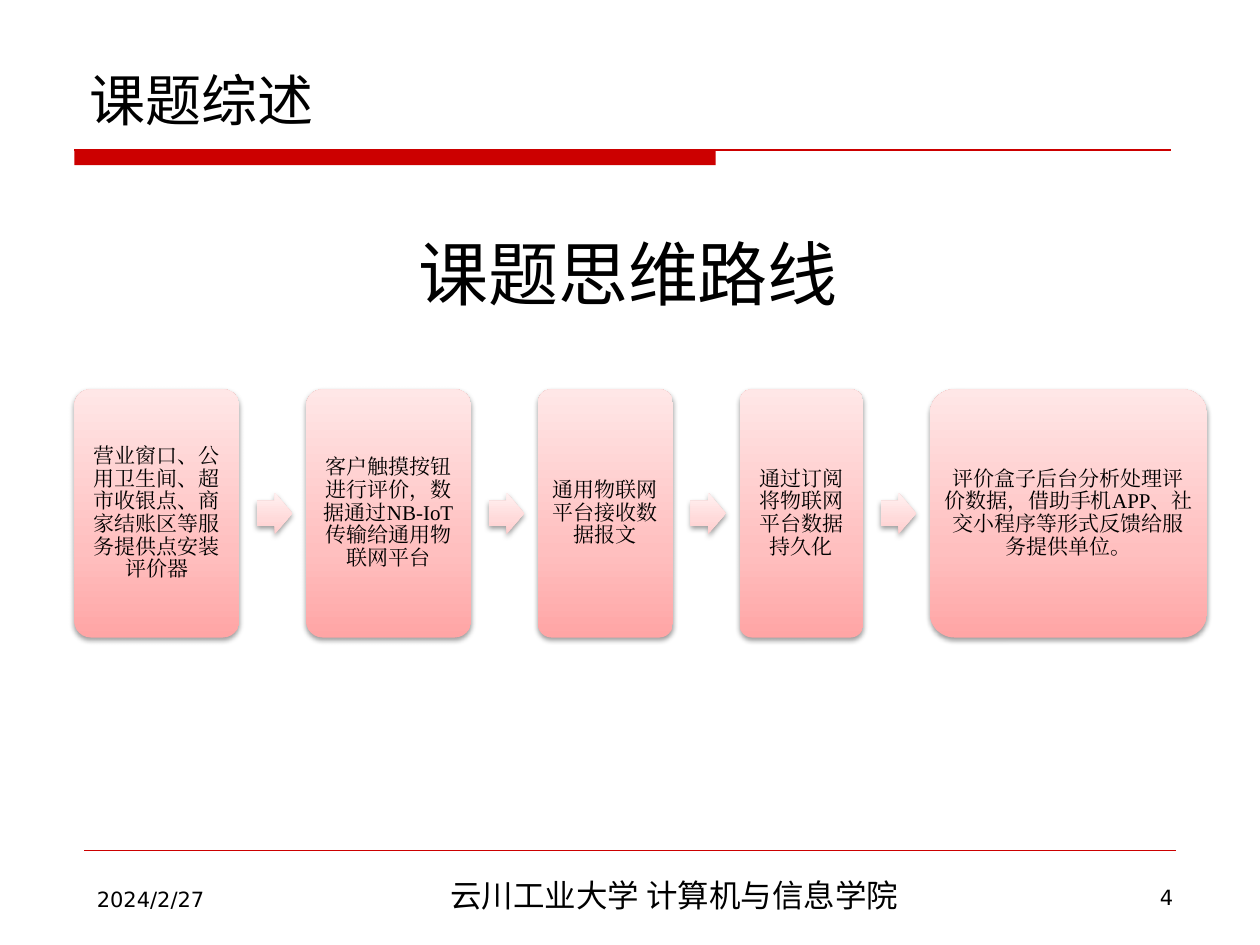
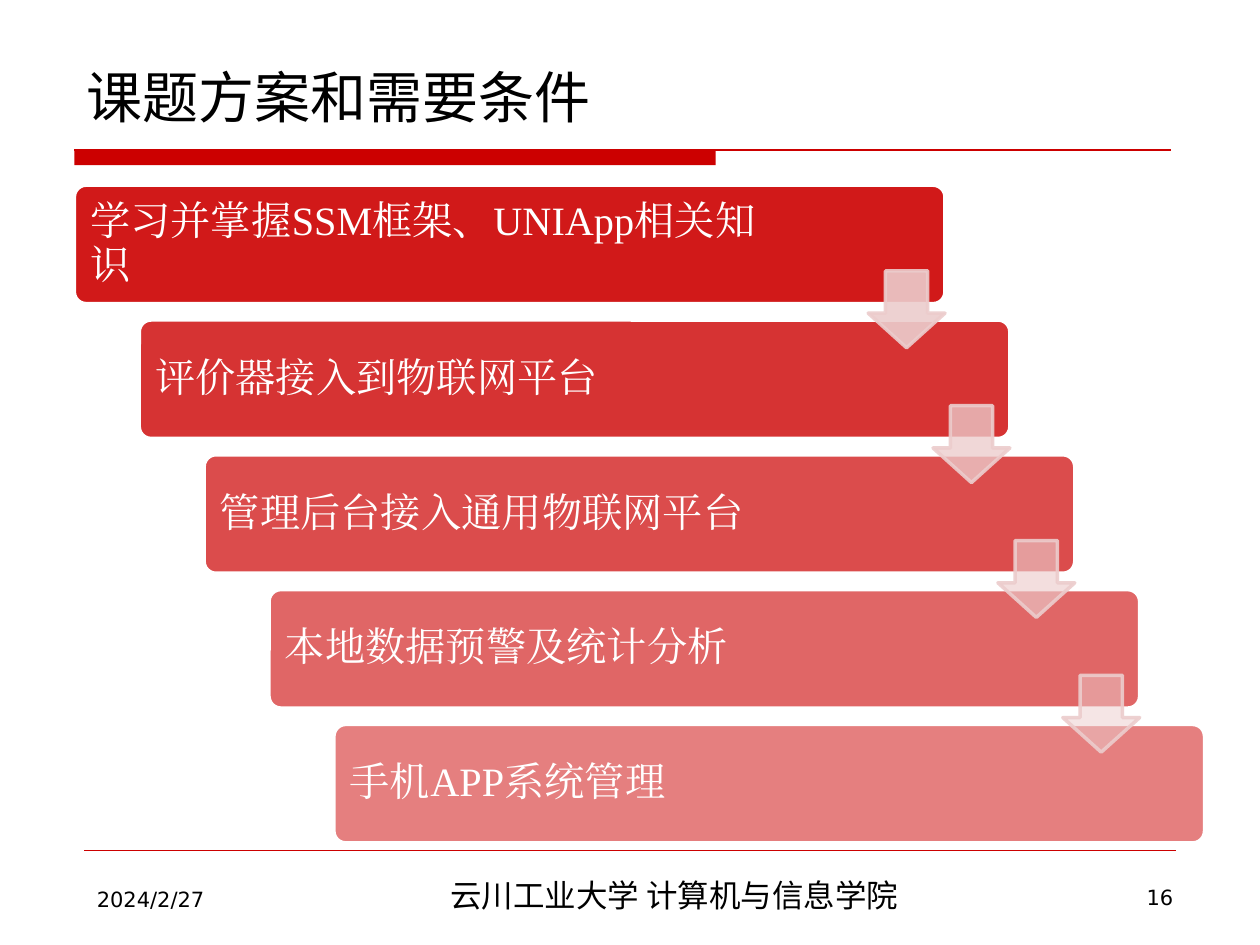
import dataclasses
import copy

import lxml.etree
import pptx
import pptx.dml.color
import pptx.enum.lang
import pptx.enum.shapes
import pptx.enum.text
import pptx.oxml.ns
import pptx.util

Inches = pptx.util.Inches
Pt = pptx.util.Pt
RGB = pptx.dml.color.RGBColor.from_string
qn = pptx.oxml.ns.qn
SHAPE = pptx.enum.shapes.MSO_SHAPE
ALIGN = pptx.enum.text.PP_ALIGN
ANCHOR = pptx.enum.text.MSO_ANCHOR


@dataclasses.dataclass(frozen=True)
class Theme:
    red: str = "CC0000"
    black: str = "000000"
    white: str = "FFFFFF"
    pale_arrow: str = "ECCCCC"
    box_gradient: tuple = ("FFA5A5", "FFBFBF", "FFE7E7")
    arrow_gradient: tuple = ("FFCDCD", "FFDADA", "FFF1F1")
    sans: str = "DejaVu Sans"
    chinese: str = "Noto Sans CJK SC"
    serif: str = "Times New Roman"
    small: int = 12
    footer: int = 18
    step: int = 23
    title: int = 32
    heading: int = 40


theme = Theme()


def write_text(shape, text, size, font, color=theme.black, align=ALIGN.LEFT,
               anchor=ANCHOR.TOP, insets=(0.1, 0.05, 0.1, 0.05), spacing=None, wrap=True):
    frame = shape.text_frame
    frame.word_wrap = wrap
    frame.vertical_anchor = anchor
    frame.margin_left, frame.margin_top, frame.margin_right, frame.margin_bottom = map(Inches, insets)
    paragraph = frame.paragraphs[0]
    paragraph.alignment = align
    paragraph.line_spacing = spacing
    run = paragraph.add_run()
    run.text = text
    run.font.size = Pt(size)
    run.font.name = font
    run.font.color.rgb = RGB(color)
    run.font.language_id = pptx.enum.lang.MSO_LANGUAGE_ID.SIMPLIFIED_CHINESE
    east_asian = lxml.etree.Element(qn("a:ea"), typeface=font)
    run.font._element.find(qn("a:latin")).addnext(east_asian)


def add_figure(slide, kind, box, adjustments=(), colors=(), alpha=100, line=None, line_alpha=100):
    shape = slide.shapes.add_shape(kind, *map(Inches, box))
    shape.shadow.inherit = False
    for index, value in enumerate(adjustments):
        shape.adjustments[index] = value
    if len(colors) == 1:
        shape.fill.solid()
        shape.fill.fore_color.rgb = RGB(colors[0])
    else:
        shape.fill.gradient()
        shape.fill.gradient_angle = 90
        stop_list = shape._element.spPr.find(qn("a:gradFill")).find(qn("a:gsLst"))
        stop_list.append(copy.deepcopy(stop_list[0]))
        for stop, position, color in zip(shape.fill.gradient_stops, (0, 0.35, 1), colors):
            stop.position = position
            stop.color.rgb = RGB(color)
        effects = shape._element.spPr.find(qn("a:effectLst"))
        shadow = lxml.etree.SubElement(effects, qn("a:outerShdw"), blurRad=str(Pt(3.1)),
                                       dist=str(Pt(1.6)), dir="5400000", rotWithShape="0")
        shadow_color = lxml.etree.SubElement(shadow, qn("a:srgbClr"), val=theme.black)
        lxml.etree.SubElement(shadow_color, qn("a:alpha"), val="38000")
    if line:
        shape.line.color.rgb = RGB(line)
        shape.line.width = Pt(2)
    else:
        shape.line.fill.background()
    properties = shape._element.spPr
    for parent, percent in ((properties, alpha), (properties.find(qn("a:ln")), line_alpha)):
        if percent < 100:
            color = parent.find(qn("a:solidFill")).find(qn("a:srgbClr"))
            lxml.etree.SubElement(color, qn("a:alpha"), val=str(round(percent * 1000)))
    return shape


presentation = pptx.Presentation()
presentation.slide_width = Inches(10)
presentation.slide_height = Inches(7.5)

for title, left, top, number in (("课题综述", 0.61, 0.28, "4"),
                                 ("课题方案和需要条件", 0.59, 0.26, "16")):
    slide = presentation.slides.add_slide(presentation.slide_layouts[6])
    add_figure(slide, SHAPE.RECTANGLE, (0.59, 1.19, 5.09, 0.12), colors=(theme.red,))
    for start, end, y, width in ((0.59, 9.29, 1.19, 0.75), (0.67, 9.33, 6.75, 0.25)):
        rule = slide.shapes.add_connector(pptx.enum.shapes.MSO_CONNECTOR.STRAIGHT,
                                          Inches(start), Inches(y), Inches(end), Inches(y))
        rule.line.color.rgb = RGB(theme.red)
        rule.line.width = Pt(width)
        lxml.etree.SubElement(rule._element.spPr, qn("a:effectLst"))
    for box, text, size, font, align, anchor in (
        ((2.32, 6.9, 6.06, 0.4), "云川工业大学 计算机与信息学院", theme.footer, theme.chinese,
         ALIGN.CENTER, ANCHOR.TOP),
        ((7.91, 6.97, 1.5, 0.29), number, theme.small, theme.sans, ALIGN.RIGHT, ANCHOR.TOP),
        ((0.67, 6.99, 1.5, 0.29), "2024/2/27", theme.small, theme.sans, ALIGN.LEFT, ANCHOR.TOP),
        ((left, top, 8.75, 0.82), title, theme.title, theme.sans, ALIGN.LEFT, ANCHOR.BOTTOM),
    ):
        write_text(slide.shapes.add_textbox(*map(Inches, box)), text, size, font,
                   align=align, anchor=anchor)

overview_slide, plan_slide = presentation.slides

heading = overview_slide.shapes.add_textbox(Inches(3.2), Inches(1.78), Inches(3.57), Inches(0.77))
write_text(heading, "课题思维路线", theme.heading, theme.chinese, align=ALIGN.CENTER, wrap=False)

stages = (
    (1.31, "营业窗口、公用卫生间、超市收银点、商家结账区等服务提供点安装评价器"),
    (1.31, "客户触摸按钮进行评价，数据通过NB-IoT传输给通用物联网平台"),
    (1.07, "通用物联网平台接收数据报文"),
    (0.98, "通过订阅将物联网平台数据持久化"),
    (2.2, "评价盒子后台分析处理评价数据，借助手机APP、社交小程序等形式反馈给服务提供单位。"),
)
stage_left = 0.59
stage_gap = 0.53
for index, (width, text) in enumerate(stages):
    if index:
        add_figure(overview_slide, SHAPE.RIGHT_ARROW, (stage_left - 0.39, 3.91, 0.28, 0.33),
                   (0.6, 0.5), theme.arrow_gradient)
    stage = add_figure(overview_slide, SHAPE.ROUNDED_RECTANGLE, (stage_left, 3.09, width, 1.97),
                       (0.1,), theme.box_gradient)
    write_text(stage, text, theme.small, theme.serif, align=ALIGN.CENTER, anchor=ANCHOR.MIDDLE,
               insets=(0.05,) * 4, spacing=0.9)
    stage_left += width + stage_gap

steps = (
    "学习并掌握SSM框架、UNIApp相关知识",
    "评价器接入到物联网平台",
    "管理后台接入通用物联网平台",
    "本地数据预警及统计分析",
    "手机APP系统管理",
)
shift_right = 2.06 / (len(steps) - 1)
shift_down = 1.07
for index, text in enumerate(steps):
    step = add_figure(plan_slide, SHAPE.ROUNDED_RECTANGLE,
                      (0.59 + shift_right * index, 1.47 + shift_down * index, 6.91, 0.94),
                      (0.1,), (theme.red,), 90 - 10 * index, theme.white)
    write_text(step, text, theme.step, theme.serif, theme.white, anchor=ANCHOR.MIDDLE,
               insets=(0.1, 0.1, 1.16, 0.1), spacing=0.9)
for index in range(len(steps) - 1):
    add_figure(plan_slide, SHAPE.DOWN_ARROW,
               (6.89 + shift_right * index, 2.15 + shift_down * index, 0.61, 0.61),
               (0.55, 0.45), (theme.pale_arrow,), 90 - 40 * index / 3, theme.pale_arrow, 90)

presentation.save("out.pptx")
